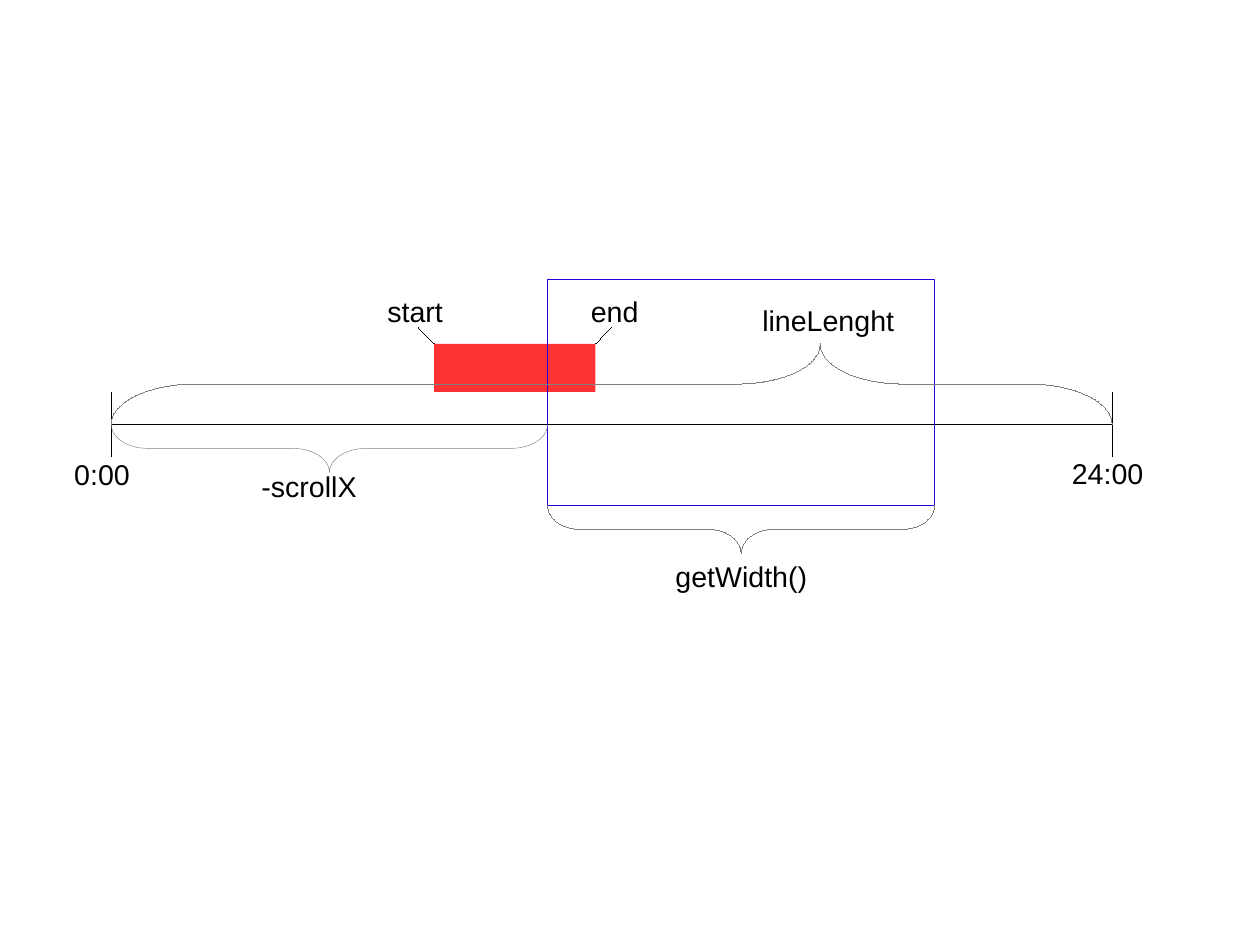
from pptx import Presentation
from pptx.dml.color import RGBColor
from pptx.enum.shapes import MSO_CONNECTOR, MSO_SHAPE
from pptx.enum.text import MSO_ANCHOR, PP_ALIGN
from pptx.oxml.ns import qn
from pptx.util import Cm, Pt

STRAIGHT = MSO_CONNECTOR.STRAIGHT
RECTANGLE = MSO_SHAPE.RECTANGLE
RIGHT_BRACE = MSO_SHAPE.RIGHT_BRACE
TOP = MSO_ANCHOR.TOP
LEFT = PP_ALIGN.LEFT

COLORS = {"ink": "000000", "event": "FF3333", "window": "2300DC", "brace": "808080"}
HAIRLINE = Pt(0.01)

presentation = Presentation()
presentation.slide_width = Cm(28)
presentation.slide_height = Cm(21)
presentation.element.sldSz.attrib.pop("type", None)
slide = presentation.slides.add_slide(presentation.slide_layouts[6])
cell = presentation.slide_width / 28


def grid(*cells):
    return [round(count * cell) for count in cells]


def add_label(text, left, top, width, height=1.3, size=18, font="Arial", color="ink"):
    box = slide.shapes.add_textbox(*grid(left, top, width, height))
    frame = box.text_frame
    frame.word_wrap = True
    frame.vertical_anchor = TOP
    paragraph = frame.paragraphs[0]
    paragraph.alignment = LEFT
    run = paragraph.add_run()
    run.text = text
    run.font.size = Pt(size)
    run.font.name = font
    run.font.color.rgb = RGBColor.from_string(COLORS[color])


day_start, day_end, axis = 2.47, 24.72, 9.43
tick = 0.71
event_left, event_right, event_top, event_height = 9.65, 13.23, 7.64, 1.07
window_left, window_right, window_top, window_bottom = 12.17, 20.77, 6.2, 11.23
pointer_run, pointer_rise = 0.36, 0.37
length_tip = (18.23 - day_start) / (day_end - day_start)

lines = [
    (day_start, axis, day_end, axis),
    (day_start, axis - tick, day_start, axis + tick),
    (day_end, axis - tick, day_end, axis + tick),
    (event_left, event_top, event_left - pointer_run, event_top - pointer_rise),
    (event_right, event_top, event_right + pointer_run, event_top - pointer_rise),
]
for ends in lines:
    connector = slide.shapes.add_connector(STRAIGHT, *grid(*ends))
    connector.line.width = HAIRLINE
    connector.line.color.rgb = RGBColor.from_string(COLORS["ink"])
    properties = connector._element.spPr
    properties.append(properties.makeelement(qn("a:effectLst"), {}))

event = slide.shapes.add_shape(
    RECTANGLE, *grid(event_left, event_top, event_right - event_left, event_height))
event.shadow.inherit = False
event.fill.solid()
event.fill.fore_color.rgb = RGBColor.from_string(COLORS["event"])
event.line.fill.background()

window = slide.shapes.add_shape(
    RECTANGLE,
    *grid(window_left, window_top, window_right - window_left, window_bottom - window_top))
window.shadow.inherit = False
window.fill.background()
window.line.color.rgb = RGBColor.from_string(COLORS["window"])
window.line.width = Pt(0.57)

braces = [
    (day_start, window_left, axis, 1.07, 90, 0.5, Pt(0.28)),
    (window_left, window_right, window_bottom, 1.07, 90, 0.5, HAIRLINE),
    (day_start, day_end, event_top, axis - event_top, 270, length_tip, HAIRLINE),
]
for left, right, top, depth, rotation, tip, weight in braces:
    length = right - left
    brace = slide.shapes.add_shape(
        RIGHT_BRACE,
        *grid((left + right - depth) / 2, top + (depth - length) / 2, depth, length))
    brace.rotation = rotation
    brace.adjustments[0] = length / 12 / depth
    brace.adjustments[1] = tip
    brace.shadow.inherit = False
    brace.fill.background()
    brace.line.color.rgb = RGBColor.from_string(COLORS["brace"])
    brace.line.width = weight

add_label("0:00", 1.4, 10.02, 3.58, height=1.19)
add_label("24:00", 23.57, 10.01, 3.58, height=1.19)
add_label("-scrollX", 5.56, 10.29, 3.94)
add_label("getWidth()", 14.76, 12.3, 5.39)
add_label("start", 8.36, 6.4, 2.87)
add_label("end", 12.88, 6.4, 2.87)
add_label("lineLenght", 16.69, 6.61, 6.45)

presentation.save("out.pptx")
